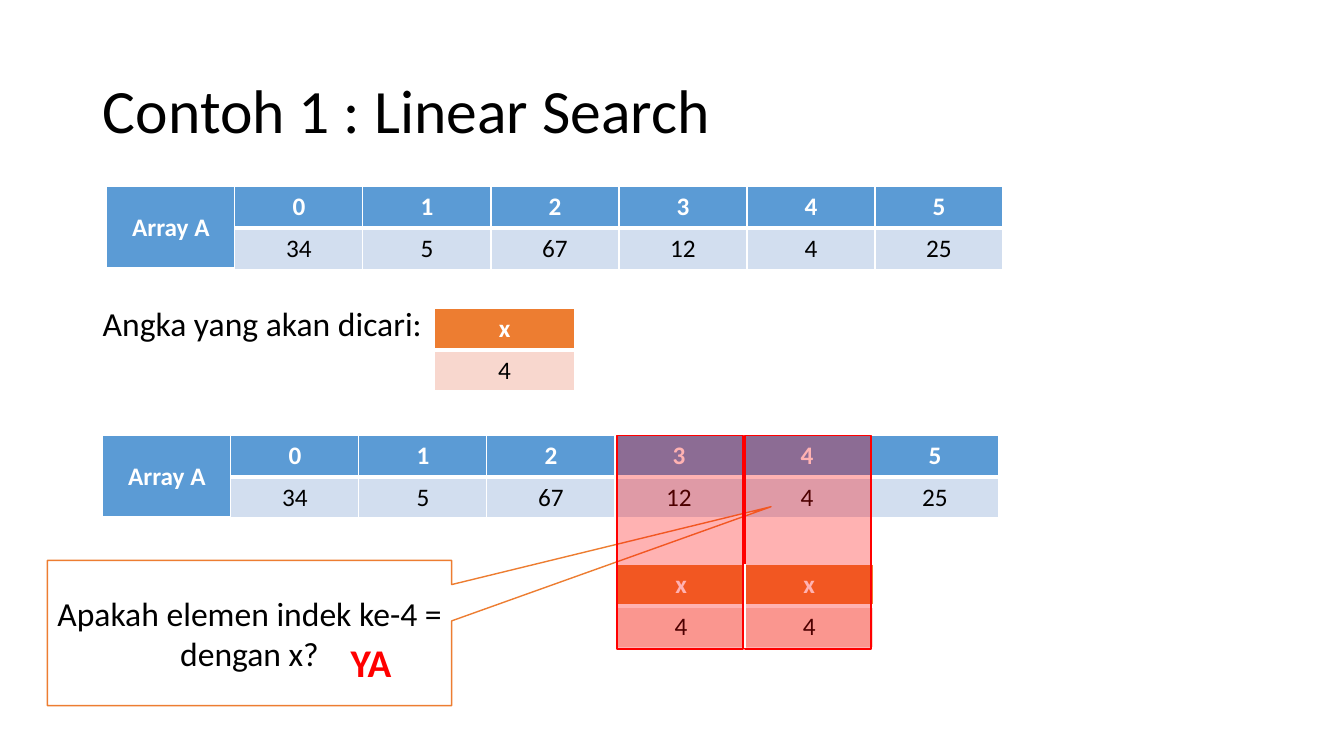
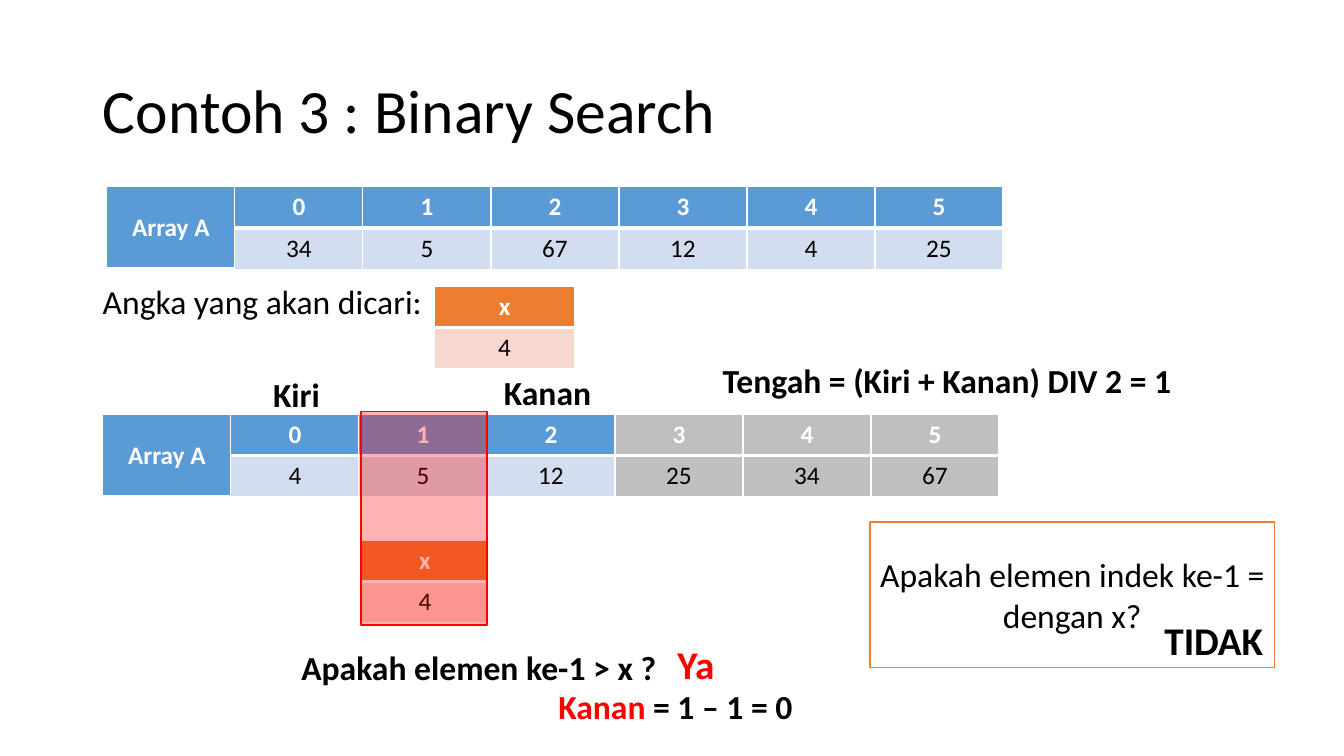
from dataclasses import dataclass

from lxml import etree
from pptx import Presentation
from pptx import util as u
from pptx.dml.color import RGBColor
from pptx.enum import shapes, text
from pptx.oxml import ns


@dataclass(frozen=True)
class Theme:
    font: str = "Calibri"
    black: str = "000000"
    white: str = "FFFFFF"
    red: str = "FF0000"
    blue: str = "5B9BD5"
    pale_blue: str = "D2DEEF"
    orange: str = "ED7D31"
    pale_orange: str = "F8D7CE"
    gray: str = "BFBFBF"
    title_size: int = 44
    answer_size: int = 28
    body_size: int = 24
    cell_size: int = 18


THEME = Theme()
COLUMN_WIDTH = 1.27
ROW_HEIGHT = 0.41
ARRAY_LEFT = 1.02
UNSORTED = [34, 5, 67, 12, 4, 25]
TARGET = 4


def color(value):
    return RGBColor.from_string(value)


def box(left, top, width, height):
    return [u.Inches(length) for length in (left, top, width, height)]


def add_run(paragraph, content, size, ink=THEME.black, bold=False):
    run = paragraph.add_run()
    run.text = content
    run.font.name = THEME.font
    run.font.size = u.Pt(size)
    run.font.bold = bold
    run.font.color.rgb = color(ink)


def add_slide(presentation, title):
    slide = presentation.slides.add_slide(presentation.slide_layouts[5])
    shape = slide.shapes.title
    shape.left, shape.top, shape.width, shape.height = box(0.92, 0.4, 11.5, 1.45)
    frame = shape.text_frame
    frame.auto_size = text.MSO_AUTO_SIZE.NONE
    frame.vertical_anchor = text.MSO_ANCHOR.MIDDLE
    paragraph = frame.paragraphs[0]
    paragraph.alignment = text.PP_ALIGN.LEFT
    paragraph.line_spacing = 0.9
    add_run(paragraph, title, THEME.title_size)
    return slide


def add_label(slide, position, *runs, size=THEME.body_size, bold=True):
    shape = slide.shapes.add_textbox(*box(*position))
    frame = shape.text_frame
    frame.word_wrap = False
    frame.auto_size = text.MSO_AUTO_SIZE.SHAPE_TO_FIT_TEXT
    for content, ink in runs:
        add_run(frame.paragraphs[0], content, size, ink, bold)


def set_borders(cell, **widths):
    properties = cell._tc.get_or_add_tcPr()
    for side, width in widths.items():
        line = etree.SubElement(properties, ns.qn(f"a:ln{side}"), w=str(u.Pt(width)))
        fill = etree.SubElement(line, ns.qn("a:solidFill"))
        etree.SubElement(fill, ns.qn("a:srgbClr"), val=THEME.white)


def format_cell(cell, content, fill, header):
    set_borders(cell, L=1, R=1, T=1 if header else 3, B=3 if header else 1)
    cell.fill.solid()
    cell.fill.fore_color.rgb = color(fill)
    cell.vertical_anchor = text.MSO_ANCHOR.MIDDLE
    paragraph = cell.text_frame.paragraphs[0]
    paragraph.alignment = text.PP_ALIGN.CENTER
    if content:
        ink = THEME.white if header else THEME.black
        add_run(paragraph, content, THEME.cell_size, ink, header)


def add_table(slide, left, top, columns, column_width):
    position = box(left, top, column_width * columns, ROW_HEIGHT * 2)
    table = slide.shapes.add_table(2, columns, *position).table
    table.horz_banding = False
    for column in table.columns:
        column.width = u.Inches(column_width)
    for row in table.rows:
        row.height = u.Inches(ROW_HEIGHT)
    return table


def add_array(slide, left, top, values, active=6):
    table = add_table(slide, left, top, len(values) + 1, COLUMN_WIDTH)
    format_cell(table.cell(0, 0), "Array A", THEME.blue, True)
    format_cell(table.cell(1, 0), "", THEME.blue, True)
    table.cell(0, 0).merge(table.cell(1, 0))
    for index, value in enumerate(values):
        used = index < active
        format_cell(table.cell(0, index + 1), str(index),
                    THEME.blue if used else THEME.gray, True)
        format_cell(table.cell(1, index + 1), str(value),
                    THEME.pale_blue if used else THEME.gray, False)


def add_target(slide, left, top, width=COLUMN_WIDTH):
    table = add_table(slide, left, top, 1, width)
    format_cell(table.cell(0, 0), "x", THEME.orange, True)
    format_cell(table.cell(1, 0), str(TARGET), THEME.pale_orange, False)


def add_shape(slide, kind, position, fill, line):
    shape = slide.shapes.add_shape(kind, *box(*position))
    shape.shadow.inherit = False
    shape.fill.solid()
    shape.fill.fore_color.rgb = color(fill)
    shape.line.color.rgb = color(line)
    shape.line.width = u.Pt(1)
    return shape


def add_question(slide, kind, left, top, index):
    shape = add_shape(slide, kind, (left, top, 4.01, 1.44), THEME.white, THEME.orange)
    frame = shape.text_frame
    frame.word_wrap = True
    frame.vertical_anchor = text.MSO_ANCHOR.MIDDLE
    paragraph = frame.paragraphs[0]
    paragraph.alignment = text.PP_ALIGN.CENTER
    add_run(paragraph, f"Apakah elemen indek ke-{index} = dengan x?", THEME.body_size)
    return shape


def add_comparison(slide, index, top):
    left = ARRAY_LEFT + COLUMN_WIDTH * (index + 1) + 0.02
    add_target(slide, left, top + 1.28)
    shape = add_shape(slide, shapes.MSO_SHAPE.RECTANGLE, (left, top, 1.25, 2.12),
                      THEME.red, THEME.red)
    fill_color = shape.element.spPr.find(f"{ns.qn('a:solidFill')}/{ns.qn('a:srgbClr')}")
    etree.SubElement(fill_color, ns.qn("a:alpha"), val="30000")


def add_problem(slide, top):
    add_array(slide, 1.06, 1.85, UNSORTED)
    add_target(slide, 4.31, top + 0.1, 1.39)
    add_label(slide, (0.92, top, 3.39, 0.5),
              ("Angka yang akan dicari:", THEME.black), bold=False)


def add_linear_search(presentation):
    slide = add_slide(presentation, "Contoh 1 : Linear Search")
    add_problem(slide, 2.96)
    add_array(slide, ARRAY_LEFT, 4.32, UNSORTED)
    callout = add_question(slide, shapes.MSO_SHAPE.RECTANGULAR_CALLOUT, 0.47, 5.56, 4)
    callout.adjustments[0] = 1.29
    callout.adjustments[1] = -0.87
    add_comparison(slide, 4, 4.32)
    add_label(slide, (3.38, 6.28, 0.61, 0.57), ("YA", THEME.red), size=THEME.answer_size)
    add_comparison(slide, 3, 4.32)


def add_binary_search(presentation):
    slide = add_slide(presentation, "Contoh 3 : Binary Search")
    add_problem(slide, 2.74)
    add_array(slide, ARRAY_LEFT, 4.11, sorted(UNSORTED), active=3)
    add_question(slide, shapes.MSO_SHAPE.RECTANGLE, 8.63, 5.18, 1)
    add_label(slide, (11.45, 6.07, 1.19, 0.57), ("TIDAK", THEME.black),
              size=THEME.answer_size)
    add_comparison(slide, 1, 4.08)
    add_label(slide, (2.61, 3.66, 0.67, 0.5), ("Kiri", THEME.black))
    add_label(slide, (4.9, 3.64, 1.08, 0.5), ("Kanan", THEME.black))
    add_label(slide, (7.07, 3.52, 4.77, 0.5),
              ("Tengah = (Kiri + Kanan) DIV 2 = 1", THEME.black))
    add_label(slide, (2.89, 6.37, 3.75, 0.5), ("Apakah elemen ke-1 > x ?", THEME.black))
    add_label(slide, (6.62, 6.3, 0.57, 0.57), ("Ya", THEME.red), size=THEME.answer_size)
    add_label(slide, (5.44, 6.76, 2.54, 0.5),
              ("Kanan ", THEME.red), ("= 1 – 1 = 0", THEME.black))


def main():
    presentation = Presentation()
    presentation.slide_width = u.Inches(13.33)
    presentation.slide_height = u.Inches(7.5)
    add_linear_search(presentation)
    add_binary_search(presentation)
    presentation.save("out.pptx")


if __name__ == "__main__":
    main()
